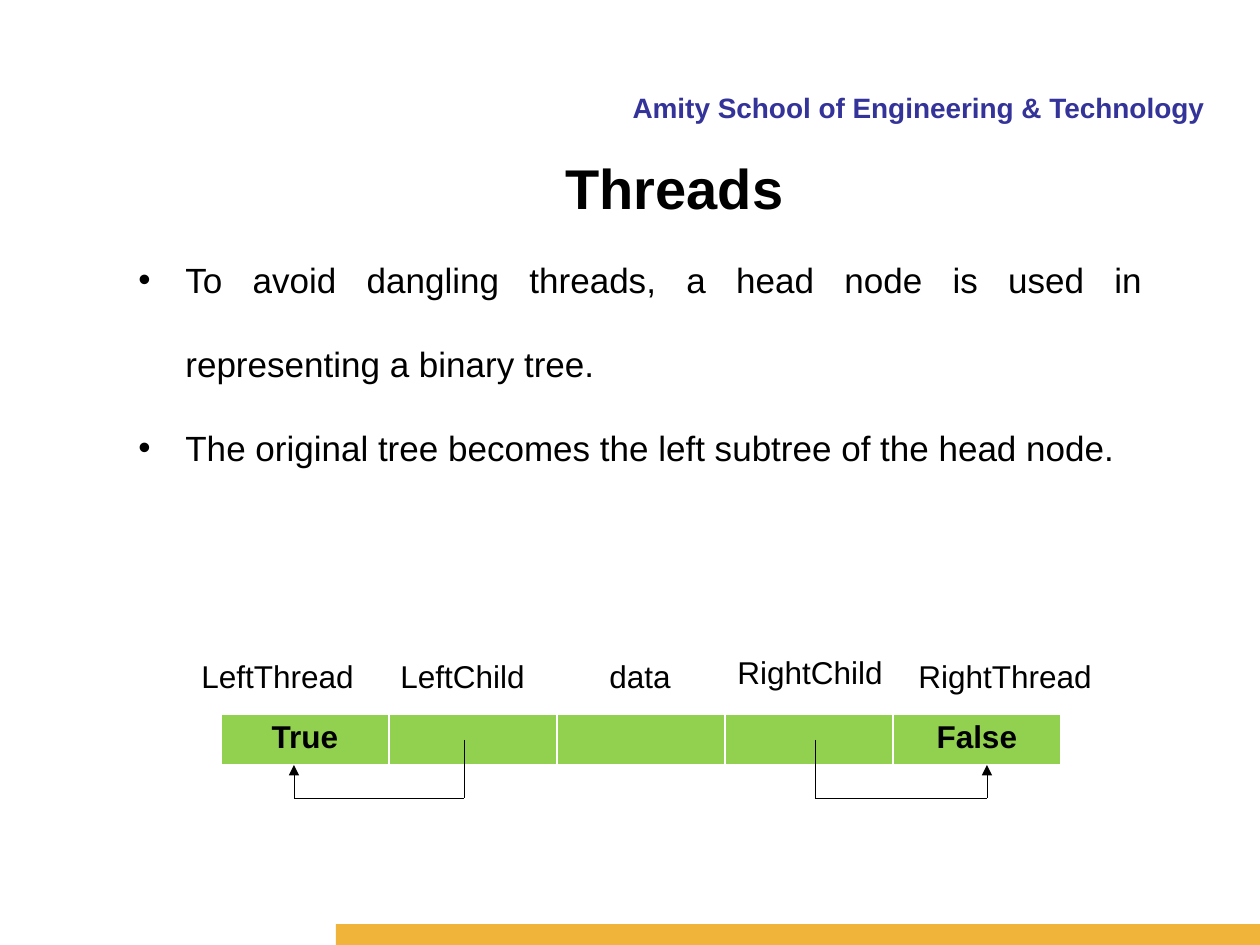
from dataclasses import dataclass
from itertools import pairwise

from lxml.etree import SubElement as Sub
from pptx import Presentation
from pptx.dml.color import RGBColor as RGB
from pptx.enum.shapes import MSO_CONNECTOR as LINE, MSO_SHAPE as SHAPE
from pptx.enum.text import MSO_AUTO_SIZE as FIT, PP_ALIGN as ALIGN
from pptx.oxml.ns import qn
from pptx.util import Pt

SCALE = 914400 / 126  # EMU in one px


def px(*vals):
    return [round(v * SCALE) for v in vals]


@dataclass(frozen=True)
class Theme:
    font: str = "Arial"
    ink: str = "000000"
    navy: str = "333399"
    gold: str = "F1B43B"
    green: str = "92D050"
    white: str = "FFFFFF"
    title: int = 32
    body: int = 20
    label: int = 18
    school: int = 16
    thin: float = 0.5


class Deck:
    def __init__(self, theme):
        self.theme = theme
        self.file = Presentation()
        self.file.slide_width, self.file.slide_height = px(1260, 945)
        self.slide = self.file.slides.add_slide(self.file.slide_layouts[6])
        self.shapes = self.slide.shapes

    def words(self, par, text, size, color=None, bold=False, align=ALIGN.LEFT):
        par.alignment = align
        run = par.add_run()
        run.text = text
        style = {"name": self.theme.font, "size": Pt(size), "bold": bold}
        for key, val in style.items():
            setattr(run.font, key, val)
        run.font.color.rgb = RGB.from_string(color or self.theme.ink)

    def text(self, box, text, size, wrap=True, fit=FIT.SHAPE_TO_FIT_TEXT, **style):
        frame = self.shapes.add_textbox(*px(*box)).text_frame
        frame.word_wrap, frame.auto_size = wrap, fit
        self.words(frame.paragraphs[0], text, size, **style)

    def bullets(self, box, items, indent):
        frame = self.shapes.add_textbox(*px(*box)).text_frame
        frame.word_wrap, frame.auto_size = True, FIT.SHAPE_TO_FIT_TEXT
        gap = px(indent)[0]
        for i, item in enumerate(items):
            par = frame.add_paragraph() if i else frame.paragraphs[0]
            props = par._p.get_or_add_pPr()
            for key, val in {"marL": gap, "indent": -gap}.items():
                props.set(key, str(val))
            Sub(props, qn("a:buFont"), typeface=self.theme.font)
            Sub(props, qn("a:buChar"), char="•")
            par.line_spacing = 2.0
            self.words(par, item, self.theme.body, align=ALIGN.JUSTIFY)

    def bar(self, box, color):
        shape = self.shapes.add_shape(SHAPE.RECTANGLE, *px(*box))
        shape.shadow.inherit = False
        shape.fill.solid()
        shape.fill.fore_color.rgb = RGB.from_string(color)
        shape.line.fill.background()

    def edges(self, cell):
        props = cell._tc.get_or_add_tcPr()
        for side, width in {"L": 1, "R": 1, "T": 1, "B": 3}.items():
            line = Sub(props, qn(f"a:ln{side}"), w=str(int(Pt(width))))
            Sub(Sub(line, qn("a:solidFill")), qn("a:srgbClr"), val=self.theme.white)

    def table(self, box, items):
        table = self.shapes.add_table(1, len(items), *px(*box)).table
        table.first_row = table.horz_banding = False
        for cell, item in zip(table.iter_cells(), items):
            self.edges(cell)
            cell.fill.solid()
            cell.fill.fore_color.rgb = RGB.from_string(self.theme.green)
            if item:
                self.words(cell.text_frame.paragraphs[0], item, self.theme.label,
                           bold=True, align=ALIGN.CENTER)

    def arrow(self, points):
        for start, end in pairwise(points):
            link = self.shapes.add_connector(LINE.STRAIGHT, *px(*start, *end))
            link.line.width = Pt(self.theme.thin)
            link.line.color.rgb = RGB.from_string(self.theme.ink)
            Sub(link._element.spPr, qn("a:effectLst"))
        # Only the last part carries the head
        Sub(link._element.spPr.find(qn("a:ln")), qn("a:tailEnd"), type="triangle")


def main():
    theme = Theme()
    deck = Deck(theme)

    # Page frame
    deck.text((514, 84, 703, 42), "Amity School of Engineering & Technology",
              theme.school, fit=FIT.NONE, color=theme.navy, bold=True,
              align=ALIGN.RIGHT)
    deck.bar((336, 924, 924, 21), theme.gold)

    # Main points
    deck.bullets((126, 210, 1029, 255), [
        "To avoid dangling threads, a head node is used in representing a binary tree.",
        "The original tree becomes the left subtree of the head node.",
    ], 47)

    # Head node and its field names
    deck.table((221, 714, 840, 52), ["True", "", "", "", "False"])
    for left, top, width, name in [
        (189, 651, 179, "LeftThread"),
        (388, 651, 151, "LeftChild"),
        (597, 651, 87, "data"),
        (725, 647, 181, "RightChild"),
        (906, 651, 200, "RightThread"),
    ]:
        deck.text((left, top, width, 50), name, theme.label, wrap=False)

    # Links from each child field to its thread flag
    for child, flag in [(815, 987), (464, 294)]:
        deck.arrow([(child, 740), (child, 798), (flag, 798), (flag, 765)])

    # Title
    deck.text((344, 147, 661, 81), "Threads", theme.title, bold=True,
              align=ALIGN.CENTER)

    deck.file.save("out.pptx")


if __name__ == "__main__":
    main()
